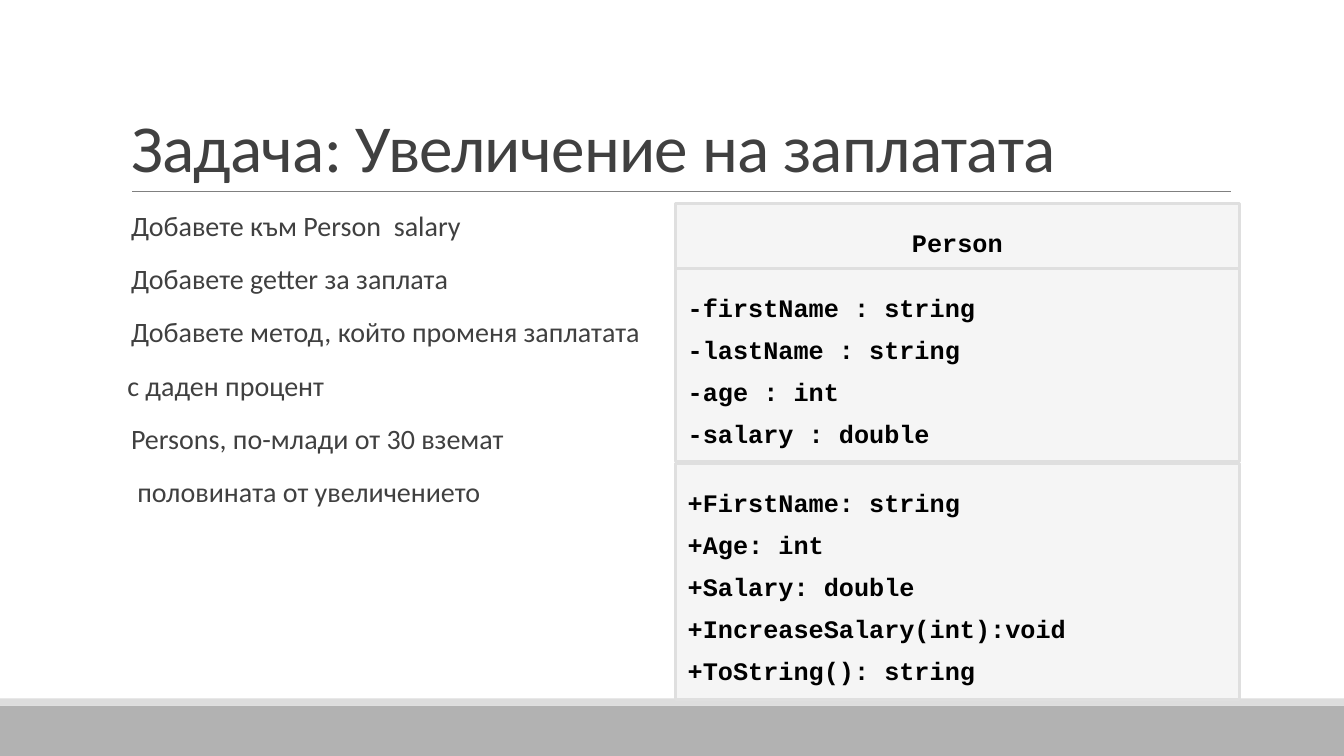
from lxml import etree
from pptx import Presentation
from pptx.dml.color import RGBColor
from pptx.enum.shapes import MSO_CONNECTOR, MSO_SHAPE
from pptx.enum.text import MSO_ANCHOR, MSO_AUTO_SIZE, PP_ALIGN
from pptx.oxml.ns import qn
from pptx.util import Inches, Pt

RECT = MSO_SHAPE.RECTANGLE
STRAIGHT = MSO_CONNECTOR.STRAIGHT
TOP, BOTTOM = MSO_ANCHOR.TOP, MSO_ANCHOR.BOTTOM
LEFT, CENTER = PP_ALIGN.LEFT, PP_ALIGN.CENTER
NO_FIT = MSO_AUTO_SIZE.NONE

COLORS = {
    "text": "404040", "code": "000000", "rule": "808080",
    "footer": "B2B2B2", "strip": "DDDDDD", "box": "BFBFBF", "border": "DFDFDF",
}
WIDTH, HEIGHT = 13.33, 7.5
MARGIN, CONTENT_TOP, CONTENT_WIDTH = 1.2, 2.02, 11


def color(key):
    return RGBColor.from_string(COLORS[key])


def style(paragraph, font_name, size, key, bold=False):
    for run in paragraph.runs:
        run.font.name = font_name
        run.font.size = Pt(size)
        run.font.bold = bold
        run.font.color.rgb = color(key)


prs = Presentation()
prs.slide_width, prs.slide_height = Inches(WIDTH), Inches(HEIGHT)
slide = prs.slides.add_slide(prs.slide_layouts[5])
shapes = slide.shapes

for key, top, height in (("footer", 7, 0.5), ("strip", 6.93, 0.07)):
    band = shapes.add_shape(RECT, 0, Inches(top), Inches(WIDTH), Inches(height))
    band.shadow.inherit = False
    band.fill.solid()
    band.fill.fore_color.rgb = color(key)
    band.line.fill.background()

rule = shapes.add_connector(STRAIGHT, Inches(1.31), Inches(1.9), Inches(12.21), Inches(1.9))
rule.line.color.rgb = color("rule")
rule.line.width = Pt(0.5)
etree.SubElement(rule._element.spPr, qn("a:effectLst"))

title = shapes.title
title.left, title.top = Inches(MARGIN), Inches(0.31)
title.width, title.height = Inches(CONTENT_WIDTH), Inches(1.59)
title.text_frame.text = "Задача: Увеличение на заплатата"
title.text_frame.auto_size = NO_FIT
title.text_frame.word_wrap = True
title.text_frame.vertical_anchor = BOTTOM
heading = title.text_frame.paragraphs[0]
heading.alignment = LEFT
heading.line_spacing = 0.85
style(heading, "Calibri", 48, "text")
heading.runs[0].font._element.set("spc", "-50")

TASKS = [
    ("Добавете към Person  salary", 0.1),
    ("Добавете getter за заплата", 0.1),
    ("Добавете метод, който променя заплатата", 0.1),
    (" с даден процент", 0),
    ("Persons, по-млади от 30 вземат", 0.1),
    (" половината от увеличението", 0.1),
]
tasks = shapes.add_textbox(Inches(MARGIN), Inches(CONTENT_TOP), Inches(CONTENT_WIDTH), Inches(4.4))
tasks_frame = tasks.text_frame
tasks_frame.word_wrap = True
tasks_frame.margin_left = tasks_frame.margin_right = 0
tasks_frame.text = "\n".join(task for task, indent in TASKS)
for paragraph, (task, indent) in zip(tasks_frame.paragraphs, TASKS):
    paragraph.space_before, paragraph.space_after = Pt(12), Pt(2)
    paragraph._p.get_or_add_pPr().set("marL", str(Inches(indent)))
    style(paragraph, "Calibri", 20, "text")

CLASS_PARTS = [
    (2.02, 0.64, CENTER, ["Person"]),
    (2.66, 1.92, LEFT, ["-firstName : string", "-lastName : string", "-age : int", "-salary : double"]),
    (4.6, 2.34, LEFT, ["+FirstName: string", "+Age: int", "+Salary: double",
                       "+IncreaseSalary(int):void", "+ToString(): string"]),
]
for top, height, alignment, members in CLASS_PARTS:
    part = shapes.add_shape(RECT, Inches(6.7), Inches(top), Inches(5.59), Inches(height))
    part.shadow.inherit = False
    part.fill.solid()
    part.fill.fore_color.rgb = color("box")
    fill_color = part._element.spPr.find(qn("a:solidFill"))[0]
    etree.SubElement(fill_color, qn("a:alpha"), val="15000")
    part.line.color.rgb = color("border")
    part.line.width = Pt(2)
    frame = part.text_frame
    frame.word_wrap = True
    frame.vertical_anchor = TOP
    frame.margin_left = frame.margin_right = frame.margin_top = frame.margin_bottom = Inches(0.12)
    frame.text = "\n".join(members)
    for paragraph in frame.paragraphs:
        paragraph.alignment = alignment
        paragraph.line_spacing = Pt(30)
        style(paragraph, "Courier New", 18, "code", True)

prs.save("out.pptx")
